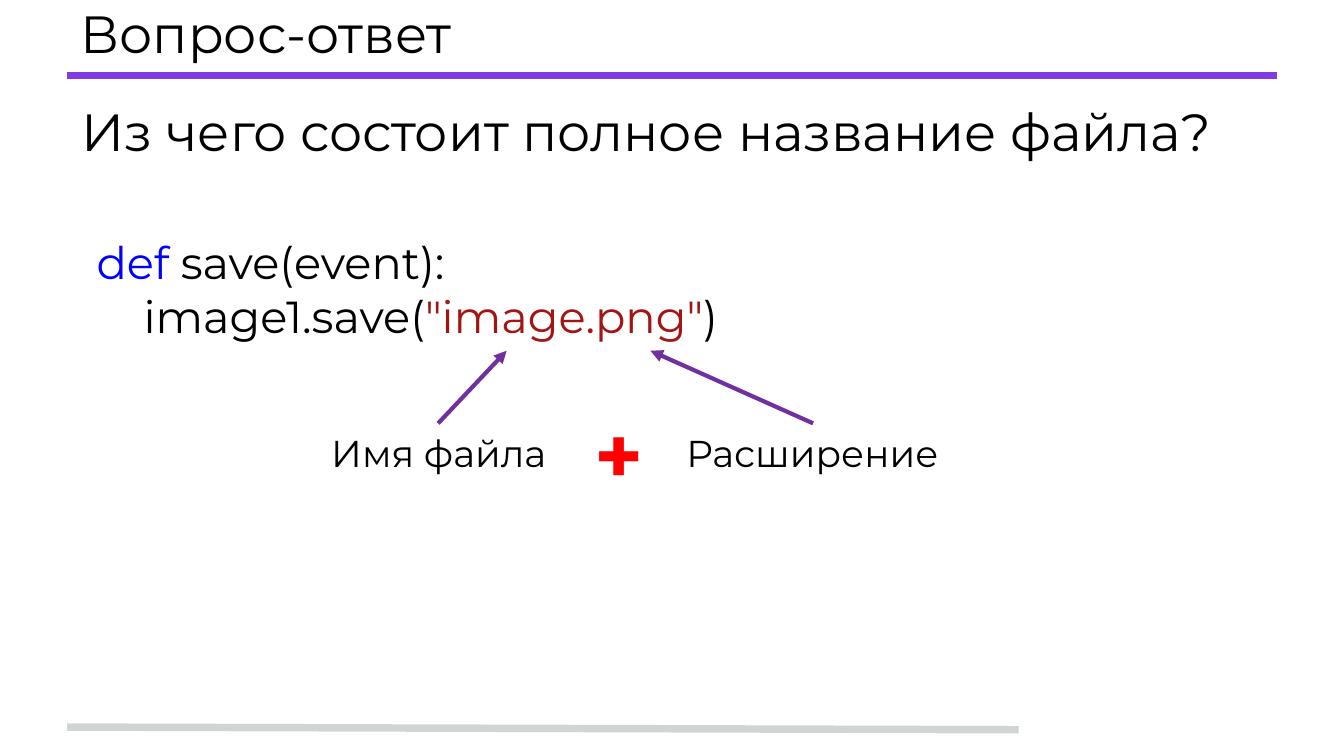
"""Build a question-and-answer slide about the parts of a full file name."""
from lxml import etree
from pptx import Presentation
from pptx.dml.color import RGBColor
from pptx.enum.shapes import MSO_CONNECTOR
from pptx.enum.text import MSO_ANCHOR, MSO_AUTO_SIZE, PP_ALIGN
from pptx.oxml.ns import qn
from pptx.util import Inches, Pt

STRAIGHT = MSO_CONNECTOR.STRAIGHT
LEFT, CENTER = PP_ALIGN.LEFT, PP_ALIGN.CENTER
TOP, MIDDLE = MSO_ANCHOR.TOP, MSO_ANCHOR.MIDDLE
NO_AUTOFIT = MSO_AUTO_SIZE.NONE

FONT = "Montserrat"
BLACK = RGBColor(0x00, 0x00, 0x00)
GREY = RGBColor(0xCF, 0xD4, 0xD4)
VIOLET = RGBColor(0x83, 0x3A, 0xE0)
PURPLE = RGBColor(0x70, 0x30, 0xA0)
BLUE = RGBColor(0x00, 0x00, 0xFF)
BROWN = RGBColor(0xA3, 0x15, 0x15)
RED = RGBColor(0xFF, 0x00, 0x00)


def add_span(para, text, size=20, color=BLACK, bold=False):
    """Add one formatted run to a paragraph."""
    span = para.add_run()
    span.text = text
    span.font.name = FONT
    span.font.size = Pt(size)
    span.font.color.rgb = color
    span.font.bold = bold


def set_frame(box, margin, anchor=TOP):
    """Prepare the text frame of a box and return it."""
    frame = box.text_frame
    frame.word_wrap = True
    frame.auto_size = NO_AUTOFIT
    frame.vertical_anchor = anchor
    frame.margin_left = frame.margin_right = Inches(0.1)
    frame.margin_top = frame.margin_bottom = Inches(margin)
    return frame


def set_indent(para, indent):
    """Indent every line of a paragraph and return its properties."""
    properties = para._p.get_or_add_pPr()
    properties.set("marL", str(Inches(indent)))
    properties.set("indent", "0")
    return properties


def fill_placeholder(box, text, position, anchor=TOP, space_before=0, indent=0):
    """Move a placeholder and give it one left-aligned line without a bullet."""
    box.left, box.top, box.width, box.height = map(Inches, position)
    para = set_frame(box, 0.1, anchor).paragraphs[0]
    para.alignment = LEFT
    para.space_before = Pt(space_before)
    etree.SubElement(set_indent(para, indent), qn("a:buNone"))
    add_span(para, text, size=28)


def add_box(page, position):
    """Add a text box and return its frame."""
    return set_frame(page.shapes.add_textbox(*map(Inches, position)), 0.05)


def add_label(page, text, position, **style):
    """Add a centred one-line text box."""
    para = add_box(page, position).paragraphs[0]
    para.alignment = CENTER
    add_span(para, text, **style)


def add_code(page):
    """Add the two lines of highlighted code."""
    frame = add_box(page, (0.62, 1.7, 5, 0.91))
    header = frame.paragraphs[0]
    add_span(header, "def", size=24, color=BLUE)
    add_span(header, " save(event):", size=24)
    body = frame.add_paragraph()
    set_indent(body, 0.35)
    add_span(body, "image1.save(", size=24)
    add_span(body, '"image.png"', size=24, color=BROWN)
    add_span(body, ")", size=24)


def add_line(page, start, end, color, width, arrow=False):
    """Add a straight line, with an arrowhead at its end if asked."""
    line = page.shapes.add_connector(STRAIGHT, *map(Inches, start + end))
    line.line.color.rgb = color
    line.line.width = Pt(width)
    if arrow:
        outline = line.line._get_or_add_ln()
        etree.SubElement(outline, qn("a:tailEnd"), type="triangle")
    etree.SubElement(line._element.spPr, qn("a:effectLst"))


def main():
    """Build and save the deck."""
    deck = Presentation()
    deck.slide_width = Inches(10)
    deck.slide_height = deck.slide_width * 9 // 16
    page = deck.slides.add_slide(deck.slide_layouts[1])

    add_line(page, (0.5, 5.41), (7.58, 5.43), GREY, 4)
    add_line(page, (0.5, 0.56), (9.5, 0.56), VIOLET, 4)
    fill_placeholder(page.shapes.title, "Вопрос-ответ",
                     (0.5, 0, 9, 0.49), anchor=MIDDLE)
    fill_placeholder(page.placeholders[1], "Из чего состоит полное название файла?",
                     (0.5, 0.64, 9, 0.91), space_before=6, indent=0.01)
    add_code(page)

    add_label(page, "Имя файла", (2.31, 3.15, 1.91, 0.44))
    add_label(page, "Расширение", (5, 3.15, 2.09, 0.44))
    add_line(page, (3.26, 3.15), (3.77, 2.61), PURPLE, 2.25, arrow=True)
    add_line(page, (6.05, 3.15), (4.84, 2.61), PURPLE, 2.25, arrow=True)
    add_label(page, "+", (4.31, 2.95, 0.59, 0.84), size=44, color=RED, bold=True)

    deck.save("out.pptx")


if __name__ == "__main__":
    main()
